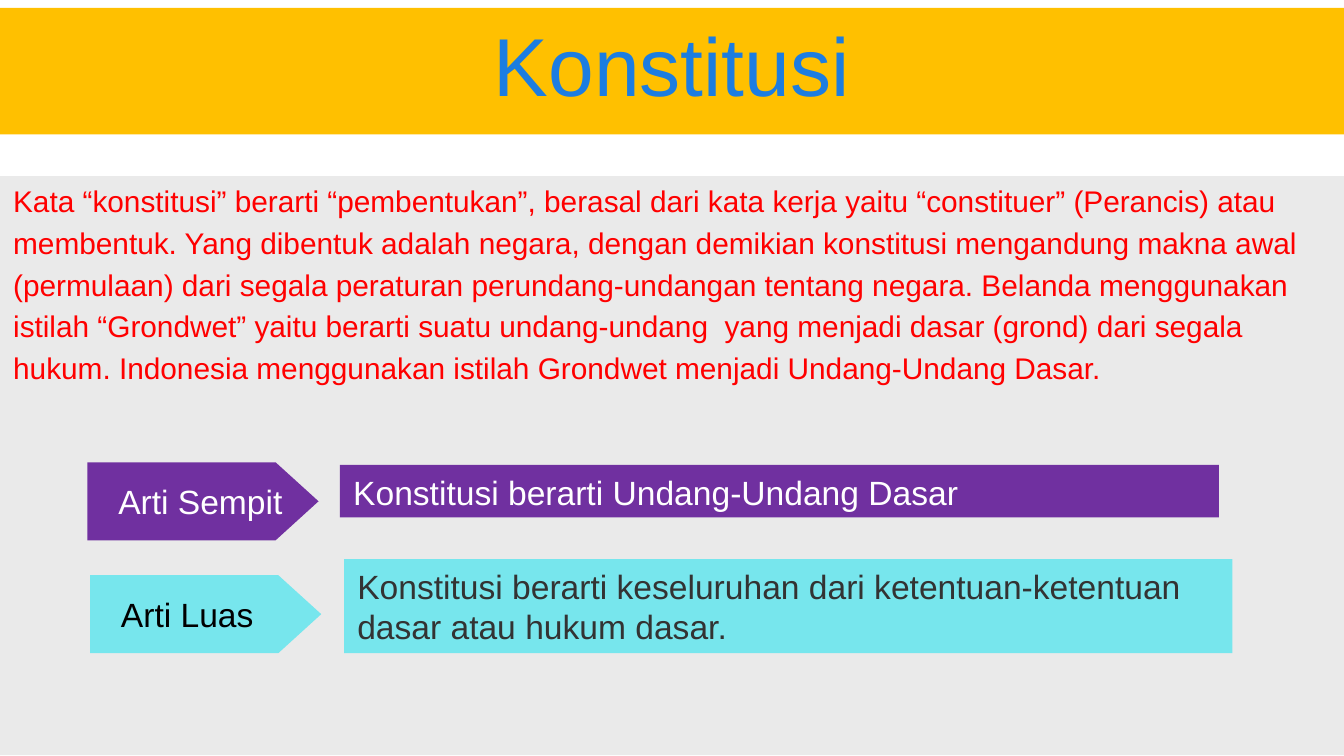
from dataclasses import dataclass

from pptx import Presentation
from pptx.dml.color import RGBColor
from pptx.enum.shapes import MSO_SHAPE
from pptx.enum.text import MSO_ANCHOR, PP_ALIGN
from pptx.util import Inches, Pt

RECTANGLE, PENTAGON = MSO_SHAPE.RECTANGLE, MSO_SHAPE.PENTAGON
TOP, MIDDLE = MSO_ANCHOR.TOP, MSO_ANCHOR.MIDDLE
LEFT, CENTER, JUSTIFY = PP_ALIGN.LEFT, PP_ALIGN.CENTER, PP_ALIGN.JUSTIFY


@dataclass(frozen=True)
class Theme:
    font: str = "Arial"
    title_size: int = 44
    body_size: int = 16
    meaning_size: int = 18
    amber: str = "FFC000"
    blue: str = "1C7DE1"
    gray: str = "EAEAEA"
    red: str = "FF0000"
    purple: str = "7030A0"
    cyan: str = "77E6ED"
    white: str = "FFFFFF"
    black: str = "000000"
    charcoal: str = "333333"


@dataclass(frozen=True)
class Panel:
    left: float
    top: float
    width: float
    height: float
    fill: str
    color: str
    size: int
    lines: tuple[str, ...]
    shape: MSO_SHAPE = RECTANGLE
    align: PP_ALIGN = LEFT
    anchor: MSO_ANCHOR = TOP
    space_before: float = 0
    margin_left: float = 0.1
    margin_right: float = 0.1


THEME = Theme()


def arrow_label(left: float, top: float, fill: str, color: str, text: str) -> Panel:
    return Panel(left, top, 1.72, 0.58, fill, color, THEME.meaning_size, (text,),
                 shape=PENTAGON, anchor=MIDDLE, margin_left=0.23, margin_right=0)


PANELS = (
    Panel(0, 0.06, 10, 0.94, THEME.amber, THEME.blue, THEME.title_size,
          ("Konstitusi",), align=CENTER),
    Panel(0, 1.31, 10, 4.31, THEME.gray, THEME.red, THEME.body_size, (
        "Kata “konstitusi” berarti “pembentukan”, berasal dari kata kerja yaitu “constituer” (Perancis) atau",
        "membentuk. Yang dibentuk adalah negara, dengan demikian konstitusi mengandung makna awal",
        "(permulaan) dari segala peraturan perundang-undangan tentang negara. Belanda menggunakan",
        "istilah “Grondwet” yaitu berarti suatu undang-undang  yang menjadi dasar (grond) dari segala",
        "hukum. Indonesia menggunakan istilah Grondwet menjadi Undang-Undang Dasar.",
    ), align=JUSTIFY, space_before=3.2),
    Panel(2.53, 3.46, 6.54, 0.39, THEME.purple, THEME.white, THEME.meaning_size,
          ("Konstitusi berarti Undang-Undang Dasar",)),
    Panel(2.56, 4.16, 6.61, 0.7, THEME.cyan, THEME.charcoal, THEME.meaning_size,
          ("Konstitusi berarti keseluruhan dari ketentuan-ketentuan",
           "dasar atau hukum dasar.")),
    arrow_label(0.65, 3.44, THEME.purple, THEME.white, "Arti Sempit"),
    arrow_label(0.67, 4.28, THEME.cyan, THEME.black, "Arti Luas"),
)


def draw_panel(slide, panel: Panel) -> None:
    box = slide.shapes.add_shape(panel.shape, Inches(panel.left), Inches(panel.top),
                                 Inches(panel.width), Inches(panel.height))
    if panel.shape == PENTAGON:
        box.adjustments[0] = 0.55
    box.shadow.inherit = False
    box.fill.solid()
    box.fill.fore_color.rgb = RGBColor.from_string(panel.fill)
    box.line.fill.background()

    frame = box.text_frame
    frame.word_wrap = True
    frame.vertical_anchor = panel.anchor
    frame.margin_left = Inches(panel.margin_left)
    frame.margin_right = Inches(panel.margin_right)
    for index, line in enumerate(panel.lines):
        para = frame.add_paragraph() if index else frame.paragraphs[0]
        para.text = line
        para.alignment = panel.align
        if index:
            para.space_before = Pt(panel.space_before)
        para.font.name = THEME.font
        para.font.size = Pt(panel.size)
        para.font.color.rgb = RGBColor.from_string(panel.color)


def main() -> None:
    deck = Presentation()
    deck.slide_width = Inches(10)
    deck.slide_height = deck.slide_width * 9 // 16
    slide = deck.slides.add_slide(deck.slide_layouts[6])
    for panel in PANELS:
        draw_panel(slide, panel)
    deck.save("out.pptx")


if __name__ == "__main__":
    main()
